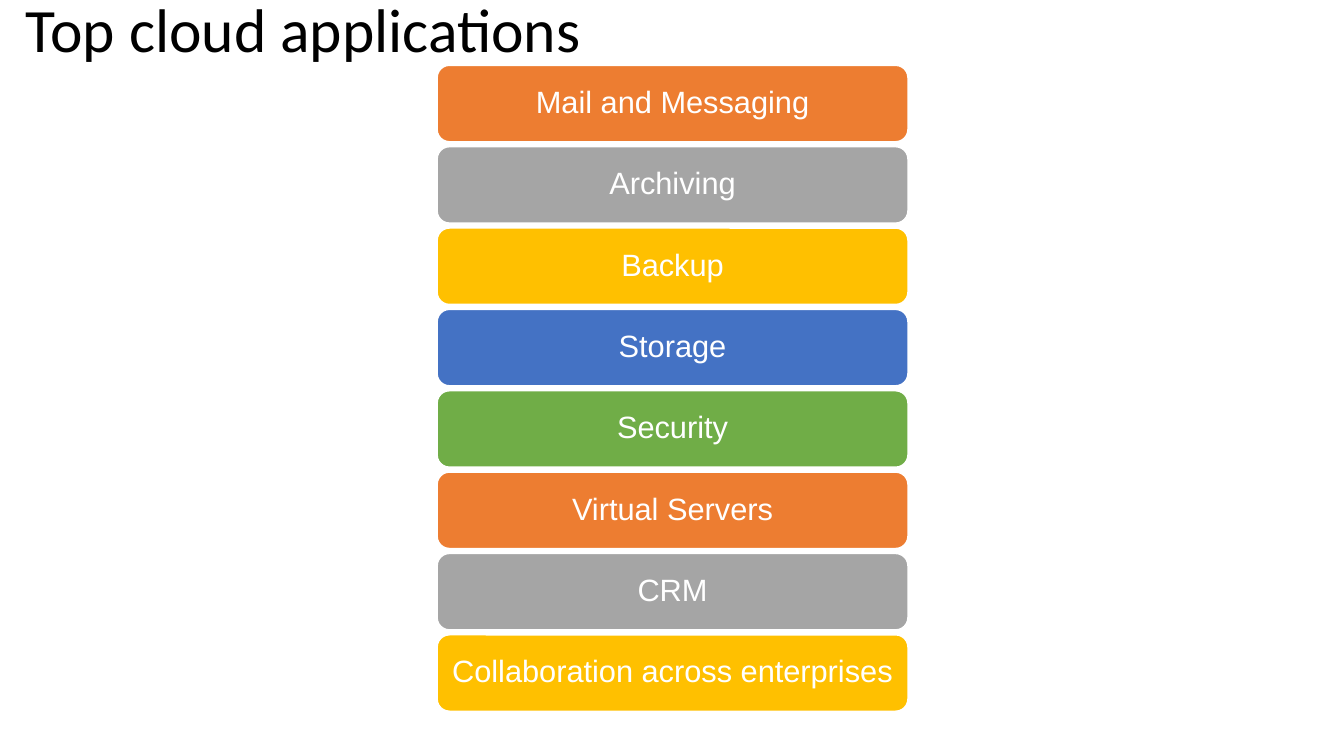
from itertools import cycle

from pptx import Presentation
from pptx.dml.color import RGBColor
from pptx.enum.shapes import MSO_SHAPE
from pptx.enum.text import MSO_ANCHOR, MSO_AUTO_SIZE, PP_ALIGN
from pptx.util import Cm, Pt

BLACK = RGBColor(0x00, 0x00, 0x00)
WHITE = RGBColor(0xFF, 0xFF, 0xFF)
ORANGE = RGBColor(0xED, 0x7D, 0x31)
GRAY = RGBColor(0xA5, 0xA5, 0xA5)
GOLD = RGBColor(0xFF, 0xC0, 0x00)
BLUE = RGBColor(0x44, 0x72, 0xC4)
GREEN = RGBColor(0x70, 0xAD, 0x47)

APPLICATIONS = [
    "Mail and Messaging",
    "Archiving",
    "Backup",
    "Storage",
    "Security",
    "Virtual Servers",
    "CRM",
    "Collaboration across enterprises",
]
BAR_COLORS = [ORANGE, GRAY, GOLD, BLUE, GREEN]
BAR_LEFT, BAR_TOP, BAR_WIDTH, BAR_HEIGHT = 11.0, 1.63, 11.9, 1.96
BAR_PITCH = 2.05


class SlideBuilder:
    title_font, title_size = "Calibri", Pt(44)
    bar_font, bar_size = "Arial", Pt(22)
    line_spacing = 0.9

    def __init__(self, slide):
        self.slide = slide

    def set_text(self, sp, text, font, size, color, align):
        tf = sp.text_frame
        tf.text = text
        tf.word_wrap = True
        tf.auto_size = MSO_AUTO_SIZE.NONE
        tf.vertical_anchor = MSO_ANCHOR.MIDDLE
        p = tf.paragraphs[0]
        p.alignment = align
        p.line_spacing = self.line_spacing
        p.font.name = font
        p.font.size = size
        p.font.color.rgb = color
        return tf

    def title(self, text, left, top, width, height):
        sp = self.slide.shapes.title
        sp.left, sp.top, sp.width, sp.height = Cm(left), Cm(top), Cm(width), Cm(height)
        self.set_text(sp, text, self.title_font, self.title_size, BLACK, PP_ALIGN.LEFT)

    def bar(self, text, color, left, top, width, height):
        sp = self.slide.shapes.add_shape(
            MSO_SHAPE.ROUNDED_RECTANGLE, Cm(left), Cm(top), Cm(width), Cm(height))
        sp.shadow.inherit = False
        sp.fill.solid()
        sp.fill.fore_color.rgb = color
        sp.line.color.rgb = WHITE
        sp.line.width = Pt(2)
        tf = self.set_text(sp, text, self.bar_font, self.bar_size, WHITE, PP_ALIGN.CENTER)
        tf.margin_left = tf.margin_right = Cm(0.2)


prs = Presentation()
prs.slide_width, prs.slide_height = Cm(33.87), Cm(19.05)
s = SlideBuilder(prs.slides.add_slide(prs.slide_layouts[5]))
s.title("Top cloud applications", 0.4, 0, 33.1, 1.63)
for i, (name, color) in enumerate(zip(APPLICATIONS, cycle(BAR_COLORS))):
    s.bar(name, color, BAR_LEFT, BAR_TOP + i * BAR_PITCH, BAR_WIDTH, BAR_HEIGHT)
prs.save("out.pptx")
